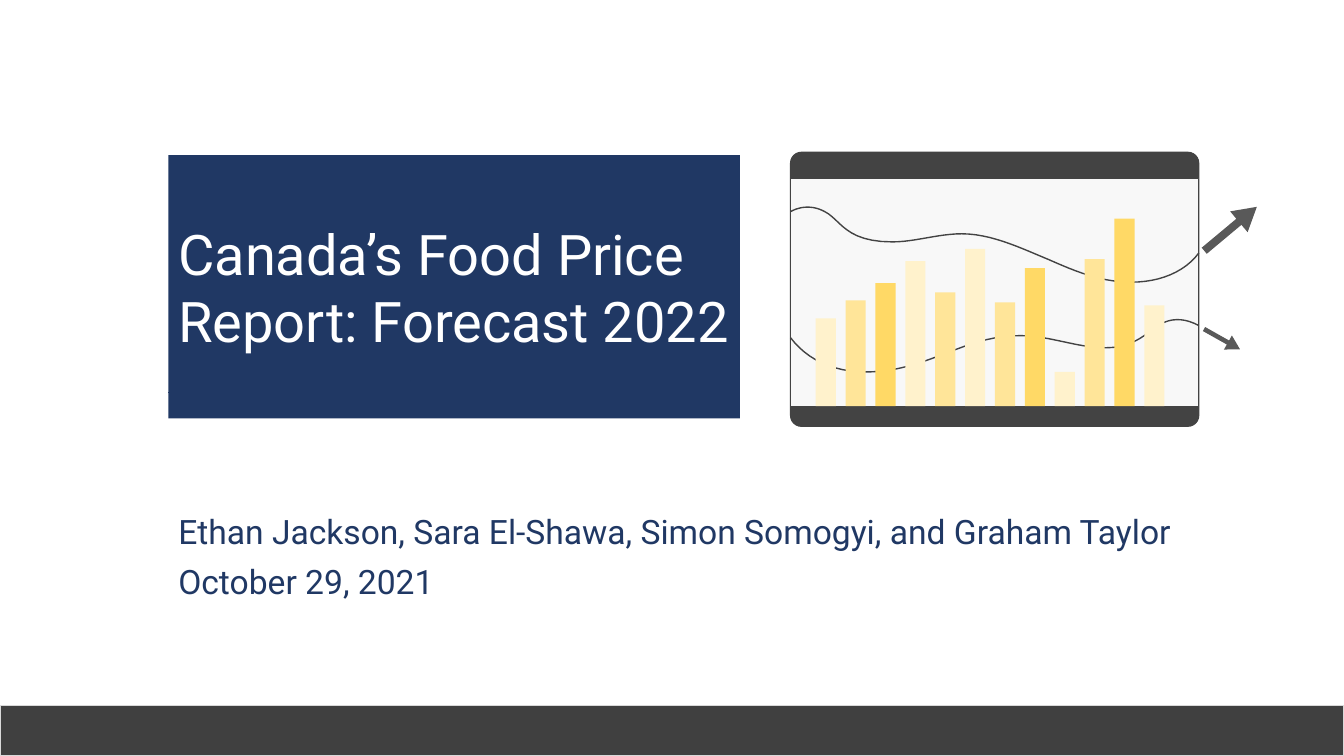
from pptx import Presentation
from pptx.dml.color import RGBColor
from pptx.enum.shapes import MSO_CONNECTOR, MSO_SHAPE
from pptx.enum.text import MSO_ANCHOR
from pptx.oxml.ns import qn
from pptx.util import Inches, Pt
from lxml import etree

RECTANGLE = MSO_SHAPE.RECTANGLE
ROUNDED = MSO_SHAPE.ROUNDED_RECTANGLE
UP_ARROW = MSO_SHAPE.UP_ARROW
STRAIGHT = MSO_CONNECTOR.STRAIGHT
TOP, MIDDLE = MSO_ANCHOR.TOP, MSO_ANCHOR.MIDDLE

NAVY, WHITE, CHARCOAL, FRAME, ARROW = "203864", "FFFFFF", "404040", "434343", "595959"
PALE, MEDIUM, STRONG = "FFF2CC", "FFE599", "FFD966"


def color(value):
    return RGBColor.from_string(value)


def bezier_point(start, control1, control2, end, t):
    weights = ((1 - t) ** 3, 3 * t * (1 - t) ** 2, 3 * t * t * (1 - t), t ** 3)
    corners = (start, control1, control2, end)
    return tuple(sum(w * c[axis] for w, c in zip(weights, corners)) for axis in (0, 1))


class SlideBuilder:
    font = "Roboto"
    thin = 0.75

    def __init__(self, slide):
        self.slide = slide

    def shape(self, kind, left, top, width, height, fill, line=None, weight=thin):
        item = self.slide.shapes.add_shape(
            kind, Inches(left), Inches(top), Inches(width), Inches(height))
        item.shadow.inherit = False
        item.fill.solid()
        item.fill.fore_color.rgb = color(fill)
        self.outline(item.line, line, weight)
        return item

    def outline(self, line, value, weight):
        if value is None:
            line.fill.background()
        else:
            line.color.rgb = color(value)
            line.width = Pt(weight)

    def rule(self, left, right, y, value):
        connector = self.slide.shapes.add_connector(
            STRAIGHT, Inches(left), Inches(y), Inches(right), Inches(y))
        self.outline(connector.line, value, self.thin)
        etree.SubElement(connector.element.spPr, qn("a:effectLst"))

    def curve(self, start, segments, value, steps=12):
        points = [start]
        for segment in segments:
            origin = points[-1]
            points += [bezier_point(origin, *segment, step / steps)
                       for step in range(1, steps + 1)]
        # Freeform points are whole numbers, so they are given in EMU
        points = [(Inches(x), Inches(y)) for x, y in points]
        builder = self.slide.shapes.build_freeform(*points[0], scale=1.0)
        builder.add_line_segments(points[1:], close=False)
        trend = builder.convert_to_shape()
        trend.shadow.inherit = False
        trend.fill.background()
        self.outline(trend.line, value, 1)

    def arrow(self, left, top, width, height, rotation, fill):
        item = self.shape(UP_ARROW, left, top, width, height, fill)
        item.rotation = rotation
        item.adjustments[0] = 0.29
        item.adjustments[1] = 0.86

    def text(self, lines, left, top, width, height, size, value, anchor, spacing, gap=0):
        box = self.slide.shapes.add_textbox(
            Inches(left), Inches(top), Inches(width), Inches(height))
        frame = box.text_frame
        frame.word_wrap = True
        frame.vertical_anchor = anchor
        frame.text = "\n".join(lines)
        for index, paragraph in enumerate(frame.paragraphs):
            paragraph.line_spacing = spacing
            paragraph.space_before = Pt(gap if index else 0)
            paragraph.font.name = self.font
            paragraph.font.size = Pt(size)
            paragraph.font.color.rgb = color(value)


def main():
    deck = Presentation()
    deck.slide_width, deck.slide_height = Inches(13.33), Inches(7.5)
    cover = SlideBuilder(deck.slides.add_slide(deck.slide_layouts[6]))

    # Footer band
    cover.shape(RECTANGLE, 0, 7, 13.33, 0.5, CHARCOAL, "D9D9D9", 1)

    # Title block
    title_area = (1.67, 1.54, 5.67, 2.61)
    cover.rule(1.67, 7.34, 3.89, NAVY)
    cover.shape(RECTANGLE, *title_area, NAVY)
    cover.text(["Canada’s Food Price Report: Forecast 2022"], *title_area,
               40, WHITE, MIDDLE, 1.0)

    # Authors and date
    cover.text(["Ethan Jackson, Sara El-Shawa, Simon Somogyi, and Graham Taylor",
                "October 29, 2021"], 1.67, 5.06, 10.75, 1, 24, NAVY, TOP, 0.9, 10)

    # Chart window
    window = cover.shape(ROUNDED, 7.84, 1.51, 4.05, 2.72, FRAME, FRAME)
    window.adjustments[0] = 0.04
    cover.shape(RECTANGLE, 7.84, 1.77, 4.05, 2.26, "F8F8F8", FRAME)

    # Trend curves
    cover.curve((7.84, 3.35), [
        ((8.0, 3.56), (8.25, 3.69), (8.59, 3.69)),
        ((8.76, 3.69), (8.94, 3.66), (9.15, 3.59)),
        ((9.5, 3.47), (9.75, 3.33), (10.12, 3.33)),
        ((10.41, 3.33), (10.68, 3.45), (10.96, 3.45)),
        ((11.09, 3.45), (11.22, 3.43), (11.39, 3.3)),
        ((11.55, 3.16), (11.7, 3.13), (11.89, 3.23)),
    ], FRAME)
    cover.curve((7.84, 2.1), [
        ((7.95, 2.04), (8.07, 2.04), (8.18, 2.1)),
        ((8.34, 2.18), (8.38, 2.4), (8.85, 2.4)),
        ((9.08, 2.4), (9.3, 2.32), (9.54, 2.32)),
        ((9.82, 2.32), (10.1, 2.45), (10.34, 2.55)),
        ((10.58, 2.65), (10.87, 2.8), (11.22, 2.8)),
        ((11.5, 2.8), (11.75, 2.7), (11.89, 2.51)),
    ], FRAME)

    # Price bars
    bar_base, first_bar, bar_pitch = 4.03, 8.09, 3.26 / 11
    price_bars = [
        (0.87, PALE), (1.05, MEDIUM), (1.22, STRONG), (1.44, PALE),
        (1.13, MEDIUM), (1.56, PALE), (1.03, MEDIUM), (1.37, STRONG),
        (0.34, PALE), (1.46, MEDIUM), (1.86, STRONG), (1, PALE),
    ]
    for index, (height, fill) in enumerate(price_bars):
        cover.shape(RECTANGLE, first_bar + index * bar_pitch, bar_base - height,
                    0.2, height, fill)

    # Forecast arrows
    cover.arrow(12.07, 1.93, 0.27, 0.68, 50.1, ARROW)
    cover.arrow(12.04, 3.16, 0.16, 0.41, 119.4, ARROW)

    deck.save("out.pptx")


if __name__ == "__main__":
    main()
